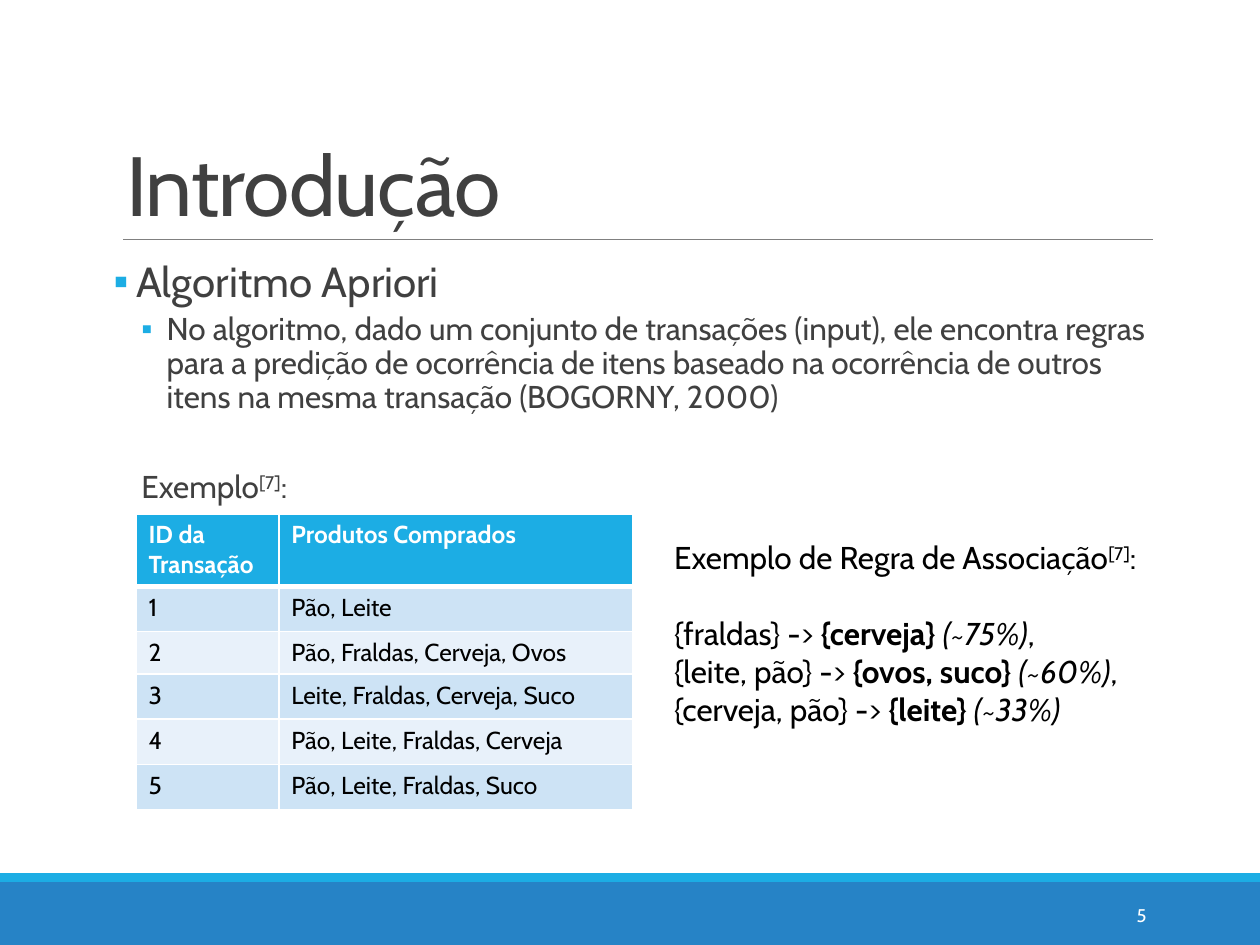
from lxml.etree import SubElement
from pptx import Presentation
from pptx.dml.color import RGBColor
from pptx.enum.shapes import MSO_CONNECTOR, MSO_SHAPE
from pptx.enum.text import MSO_ANCHOR, MSO_AUTO_SIZE, PP_ALIGN
from pptx.oxml.ns import qn
from pptx.util import Cm, Pt

# Content: a paragraph is a list of (text, style) runs
TITLE = [[("Introdução", "")]]
REF = [("[7]", "sup"), (":", "")]
TOPIC = [("Algoritmo Apriori", "")]
DETAIL = [("No algoritmo, dado um conjunto de transações (input), ele encontra "
           "regras para a predição de ocorrência de itens baseado na ocorrência "
           "de outros itens na mesma transação (BOGORNY, 2000)", "")]
SAMPLE = [("Exemplo", "")] + REF
HEAD = ("ID da Transação", "Produtos Comprados")
SALES = ["Pão, Leite", "Pão, Fraldas, Cerveja, Ovos", "Leite, Fraldas, Cerveja, Suco",
         "Pão, Leite, Fraldas, Cerveja", "Pão, Leite, Fraldas, Suco"]
RULES = [("fraldas", "cerveja", "75", ","), ("leite, pão", "ovos, suco", "60", ","),
         ("cerveja, pão", "leite", "33", "")]
PAGE = [[("5", "")]]

THEME = dict(font="Cabin", text="404040", black="000000", white="FFFFFF", rule="808080",
             accent="1CADE4", bar="2683C6", bands=("CDE3F5", "E8F1FA"),
             title=48, topic=24, body=18, cell=14, page=10.5)


def color(name):
    return RGBColor.from_string(THEME.get(name, name))


def write(frame, paras, size="body", tint="text", bold=False, align=PP_ALIGN.LEFT,
          line=None, before=0, after=0, level=0, left=None, hang=0, bullet=False,
          track=None, more=False):
    """Fill a text frame, or add to it when more is set."""
    for n, runs in enumerate(paras):
        para = frame.add_paragraph() if n or more else frame.paragraphs[0]
        para.level, para.alignment = level, align
        if left is not None:
            prop = para._p.get_or_add_pPr()
            prop.set("marL", str(Cm(left)))
            prop.set("indent", str(-Cm(hang)))
            if bullet:
                tone = SubElement(prop, qn("a:buClr"))
                SubElement(tone, qn("a:srgbClr"), val=THEME["accent"])
                SubElement(prop, qn("a:buChar"), char="▪")
            else:
                SubElement(prop, qn("a:buNone"))
        para.line_spacing = line
        para.space_before, para.space_after = Pt(before), Pt(after)
        for words, style in runs:
            run = para.add_run()
            run.text = words
            font = run.font
            font.name, font.size = THEME["font"], Pt(THEME[size])
            font.color.rgb = color(tint)
            font.bold, font.italic = bold or style == "b", style == "i"
            if style == "sup":
                font._element.set("baseline", "30000")
            if track:
                font._element.set("spc", str(track))


def place(shape, x, y, w, h):
    shape.left, shape.top, shape.width, shape.height = Cm(x), Cm(y), Cm(w), Cm(h)
    return shape.text_frame


def edge(cell, side, width):
    line = SubElement(cell._tc.get_or_add_tcPr(), qn("a:ln" + side), w=str(Pt(width)))
    fill = SubElement(line, qn("a:solidFill"))
    SubElement(fill, qn("a:srgbClr"), val=THEME["white"])


def build():
    deck = Presentation()
    deck.slide_width, deck.slide_height = Cm(25.4), Cm(19.05)
    slide = deck.slides.add_slide(deck.slide_layouts[1])
    shapes = slide.shapes

    # Footer bars and title rule
    for top, high, tint in ((17.78, 1.27, "bar"), (17.6, 0.18, "accent")):
        bar = shapes.add_shape(MSO_SHAPE.RECTANGLE, 0, Cm(top), deck.slide_width, Cm(high))
        bar.shadow.inherit = False
        bar.fill.solid()
        bar.fill.fore_color.rgb = color(tint)
        bar.line.fill.background()
    rule = shapes.add_connector(MSO_CONNECTOR.STRAIGHT, Cm(2.48), Cm(4.83), Cm(23.24), Cm(4.83))
    rule.line.color.rgb, rule.line.width = color("rule"), Pt(0.5)
    SubElement(rule._element.spPr, qn("a:effectLst"))

    # Title
    frame = place(shapes.title, 2.29, 0.79, 20.95, 4.04)
    frame.vertical_anchor, frame.auto_size = MSO_ANCHOR.BOTTOM, MSO_AUTO_SIZE.NONE
    write(frame, TITLE, size="title", line=0.85, track=-50)

    # Body list
    frame = place(slide.placeholders[1], 2.29, 5.13, 20.95, 11.18)
    frame.margin_left = frame.margin_right = 0
    frame.auto_size = MSO_AUTO_SIZE.NONE
    write(frame, [TOPIC], size="topic", line=0.9, after=2, left=0.46, hang=0.46, bullet=True)
    sub = dict(line=0.9, after=4, level=1, more=True)
    write(frame, [DETAIL], before=2, left=1.07, hang=0.51, bullet=True, **sub)
    write(frame, [SAMPLE], before=28, left=0.56, **sub)

    # Table of transactions
    rows = [HEAD] + [(str(n), items) for n, items in enumerate(SALES, 1)]
    highs = [1.42, 0.91, 0.86, 0.91, 0.91, 0.91]
    wides = [2.88, 7.13]
    grid = shapes.add_table(len(rows), len(wides), Cm(2.74), Cm(10.36),
                            Cm(sum(wides)), Cm(sum(highs))).table
    for col, wide in zip(grid.columns, wides):
        col.width = Cm(wide)
    for r, row in enumerate(rows):
        grid.rows[r].height = Cm(highs[r])
        for c, words in enumerate(row):
            cell = grid.cell(r, c)
            for side in "LRTB":
                thick = (r, side) in ((0, "B"), (1, "T"))
                edge(cell, side, 3 if thick else 1)
            cell.fill.solid()
            cell.fill.fore_color.rgb = color(THEME["bands"][(r - 1) % 2] if r else "accent")
            write(cell.text_frame, [[(words, "")]], size="cell",
                  tint="black" if r else "white", bold=r == 0)

    # Association rules
    frame = shapes.add_textbox(Cm(13.34), Cm(10.72), Cm(10.01), Cm(4.88)).text_frame
    frame.word_wrap = False
    write(frame, [[("Exemplo de Regra de Associação", "")] + REF], tint="black")
    for n, (given, then, rate, end) in enumerate(RULES):
        runs = [(f"{{{given}}} -> ", ""), (f"{{{then}}} ", "b"), (f"(~{rate}%)", "i")]
        if end:
            runs.append((end, ""))
        write(frame, [runs], tint="black", before=0 if n else 22, more=True)

    # Page number
    frame = shapes.add_textbox(Cm(20.62), Cm(17.93), Cm(2.74), Cm(1.02)).text_frame
    frame.word_wrap, frame.vertical_anchor = True, MSO_ANCHOR.MIDDLE
    write(frame, PAGE, size="page", tint="white", align=PP_ALIGN.RIGHT)

    deck.save("out.pptx")


if __name__ == "__main__":
    build()
